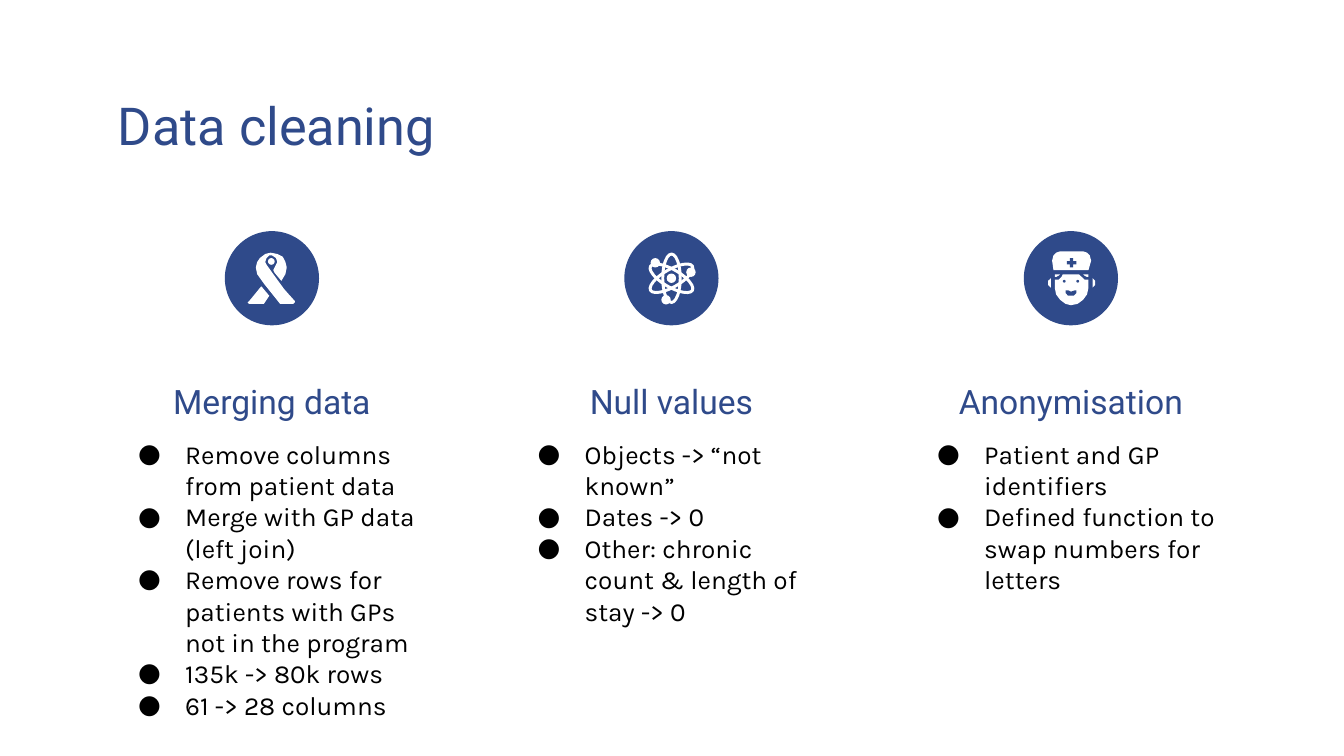
"""Build the "Data cleaning" slide: three columns with icon, heading and bullets."""
from lxml.etree import SubElement
from pptx import Presentation
from pptx.dml.color import RGBColor as Rgb
from pptx.enum.shapes import MSO_SHAPE as Shape
from pptx.enum.text import MSO_ANCHOR as Anchor, MSO_AUTO_SIZE as AutoSize, PP_ALIGN as Align
from pptx.oxml.ns import qn
from pptx.util import Cm, Pt

COLORS = {"blue": "2F4A8A", "black": "000000", "white": "FFFFFF"}
TITLE = "Data cleaning"

RIBBON = [
    ("outline", [(27, 41), (18, 52), (17, 53), (18, 54), (29, 54), (33, 48), (28, 42)], "white"),
    ("outline", [(34, 16), (30, 17), (26, 20), (24, 23), (23, 27), (24, 32), (29, 39),
                 (41, 54), (51, 54), (52, 53), (52, 52), (44, 43), (36, 32), (31, 25),
                 (30, 23), (31, 20), (33, 18), (35, 18), (38, 20), (39, 23), (38, 25),
                 (36, 29), (37, 31), (42, 37), (45, 32), (46, 27), (45, 23), (43, 19),
                 (39, 17)], "white"),
    ("oval", (32, 20, 5, 5), "white"),
]
ATOM = [("ring", (28.5, 17, 13, 36), angle) for angle in (0, 60, 120)] + [
    ("oval", box, "white") for box in
    [(31.5, 31.5, 7, 7), (19.5, 20, 7, 7), (46, 27, 7, 7), (27.5, 47.5, 7, 7)]
]
HAIR = [(23, 32), (27, 32), (26, 33), (24, 34), (23, 34)]
EAR = [(20, 35), (18, 37), (18, 40), (20, 42)]
NURSE = [
    ("outline", [(21, 22), (22, 18), (24, 16), (27, 15), (44, 15), (47, 16), (49, 18),
                 (50, 22), (48, 29), (22, 29)], "white"),
    ("cross", (32, 20, 7, 7), "blue"),
    ("outline", [(23, 36), (26, 36), (28, 34), (29, 32), (41, 32), (43, 34), (45, 36),
                 (48, 36), (48, 42), (47, 47), (44, 51), (40, 54), (35, 55), (31, 54),
                 (27, 51), (24, 47), (23, 42)], "white"),
    ("oval", (29, 36.2, 2, 2), "blue"),
    ("oval", (39, 36.2, 2, 2), "blue"),
    ("outline", [(31, 44), (33, 44), (35, 45), (38, 44), (39, 44), (39, 46), (37, 48),
                 (33, 48), (31, 46)], "blue"),
] + [
    ("outline", [(71 - x, y) if mirrored else (x, y) for x, y in side], "white")
    for side in (HAIR, EAR) for mirrored in (False, True)
]

COLUMNS = [
    ("Merging data", RIBBON, [
        "Remove columns from patient data",
        "Merge with GP data (left join)",
        "Remove rows for patients with GPs not in the program",
        "135k -> 80k rows",
        "61 -> 28 columns",
    ]),
    ("Null values", ATOM, [
        "Objects -> “not known”",
        "Dates -> 0",
        "Other: chronic count & length of stay -> 0",
    ]),
    ("Anonymisation", NURSE, [
        "Patient and GP identifiers",
        "Defined function to swap numbers for letters",
    ]),
]

LEFT, COLUMN_WIDTH, COLUMN_STEP = Cm(1.98), Cm(6.32), Cm(7.55)
HEADING_HEIGHT = Cm(1.3)
DISC_TOP, DISC_SIZE = Cm(4.37), Cm(1.78)
UNIT = DISC_SIZE / 70
PRESETS = {"oval": Shape.OVAL, "ring": Shape.OVAL, "cross": Shape.CROSS}
INSET = Cm(0.25)
FRAME = {"word_wrap": True, "auto_size": AutoSize.NONE, "margin_left": INSET,
         "margin_right": INSET, "margin_top": INSET, "margin_bottom": INSET}
HEADING_FONT = {"name": "Roboto", "bold": False}
LIST_FONT = {"name": "Karla", "size": Pt(14), "bold": False}


def assign(target, values):
    """Set every attribute in values on target."""
    for name, value in values.items():
        setattr(target, name, value)


def place(box, left, top, width, height):
    """Move and size a box."""
    assign(box, {"left": int(left), "top": int(top), "width": int(width), "height": int(height)})


def write(box, lines, font, color, align, anchor):
    """Fill a box with formatted paragraphs."""
    frame = box.text_frame
    assign(frame, {**FRAME, "vertical_anchor": anchor})
    frame.text = "\n".join(lines)
    for para in frame.paragraphs:
        assign(para, {"alignment": align, "space_before": Pt(0), "space_after": Pt(0)})
        for span in para.runs:
            assign(span.font, font)
            span.font.color.rgb = Rgb.from_string(COLORS[color])


def add_bullets(box):
    """Give every paragraph a hanging round bullet."""
    for para in box.text_frame.paragraphs:
        props = para._p.get_or_add_pPr()
        props.set("marL", str(Cm(1.27)))
        props.set("indent", str(-Cm(0.89)))
        SubElement(SubElement(props, qn("a:buClr")), qn("a:srgbClr"), val=COLORS["black"])
        SubElement(props, qn("a:buFont"), typeface="Karla")
        SubElement(props, qn("a:buChar"), char="●")


def paint(shape, color):
    """Fill a shape plainly, without line or shadow."""
    shape.shadow.inherit = False
    shape.fill.solid()
    shape.fill.fore_color.rgb = Rgb.from_string(COLORS[color])
    shape.line.fill.background()


def draw_icon(page, parts, left):
    """Draw a blue disc and the icon parts on its 70-unit grid."""
    paint(page.shapes.add_shape(Shape.OVAL, left, DISC_TOP, DISC_SIZE, DISC_SIZE), "blue")
    for kind, geometry, style in parts:
        if kind == "outline":
            builder = page.shapes.build_freeform(*geometry[0], scale=UNIT)
            builder.add_line_segments(geometry[1:], close=True)
            paint(builder.convert_to_shape(left, DISC_TOP), style)
            continue
        x, y, width, height = (int(value * UNIT) for value in geometry)
        shape = page.shapes.add_shape(PRESETS[kind], left + x, DISC_TOP + y, width, height)
        if kind == "ring":
            shape.shadow.inherit = False
            shape.fill.background()
            shape.line.color.rgb = Rgb.from_string(COLORS["white"])
            assign(shape, {"rotation": style})
            shape.line.width = Pt(1.6)
        else:
            paint(shape, style)
        if kind == "cross":
            shape.adjustments[0] = 0.33


def main():
    """Assemble and save the deck."""
    deck = Presentation()
    assign(deck, {"slide_width": Cm(25.4), "slide_height": Cm(14.29)})
    page = deck.slides.add_slide(deck.slide_layouts[4])
    title, *bodies = page.placeholders
    place(title, LEFT, Cm(1.52), Cm(21.44), HEADING_HEIGHT)
    write(title, [TITLE], {**HEADING_FONT, "size": Pt(28)}, "blue", Align.LEFT, Anchor.TOP)

    for index, (name, icon, items) in enumerate(COLUMNS):
        left = LEFT + index * COLUMN_STEP
        heading = page.shapes.add_textbox(left, Cm(6.93), COLUMN_WIDTH, HEADING_HEIGHT)
        write(heading, [name], {**HEADING_FONT, "size": Pt(18)}, "blue",
              Align.CENTER, Anchor.MIDDLE)
        place(bodies[index], left, Cm(8.03), COLUMN_WIDTH, Cm(2.13))
        write(bodies[index], items, LIST_FONT, "black", Align.LEFT, Anchor.TOP)
        add_bullets(bodies[index])
        draw_icon(page, icon, left + (COLUMN_WIDTH - DISC_SIZE) // 2)

    for spare in bodies[len(COLUMNS):]:
        spare.element.getparent().remove(spare.element)
    deck.save("out.pptx")


if __name__ == "__main__":
    main()
